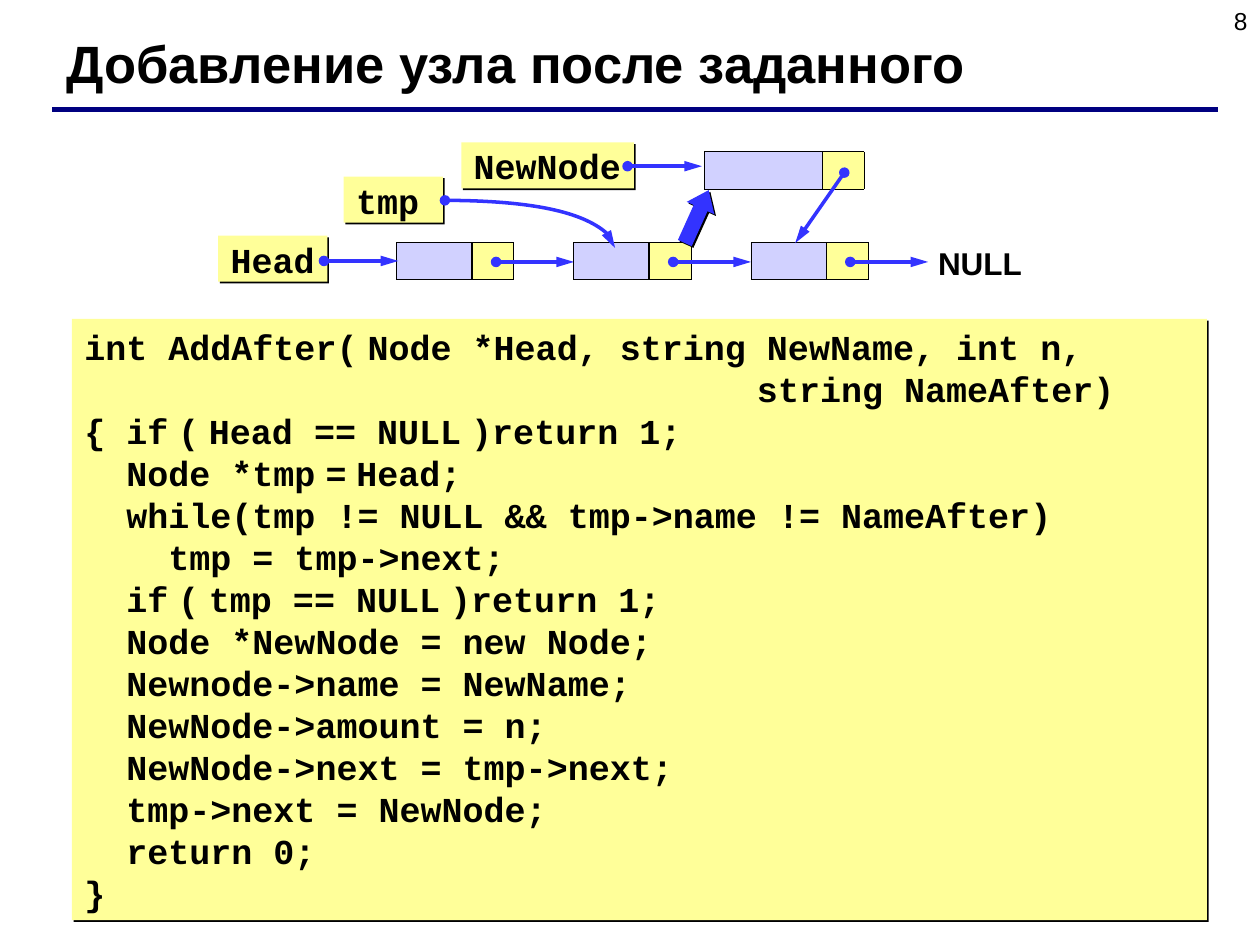
from lxml import etree
from pptx import Presentation
from pptx.dml.color import RGBColor
from pptx.enum.shapes import MSO_CONNECTOR, MSO_SHAPE
from pptx.enum.text import MSO_ANCHOR, PP_ALIGN
from pptx.oxml import parse_xml
from pptx.oxml.ns import nsdecls, qn
from pptx.util import Cm, Pt

STRAIGHT = MSO_CONNECTOR.STRAIGHT
RECTANGLE = MSO_SHAPE.RECTANGLE
DOWN_ARROW = MSO_SHAPE.DOWN_ARROW
LEFT, RIGHT = PP_ALIGN.LEFT, PP_ALIGN.RIGHT
TOP = MSO_ANCHOR.TOP

# "~" stands for a narrow space set in the sans font.
CODE = """int AddAfter(~Node *Head, string NewName, int n,
                                string NameAfter)
{ if~(~Head == NULL~)return 1;
  Node *tmp~=~Head;
  while(tmp != NULL && tmp->name != NameAfter)
    tmp = tmp->next;
  if~(~tmp == NULL~)return 1;
  Node *NewNode = new Node;
  Newnode->name = NewName;
  NewNode->amount = n;
  NewNode->next = tmp->next;
  tmp->next = NewNode;
  return 0;
}"""


def color(value):
    return RGBColor.from_string(value)


class ListSlide:
    sans, mono = "Arial", "Courier New"
    black, navy, blue = "000000", "000080", "3333FF"
    yellow, lilac = "FFFF99", "D1D1FF"
    cell_height, link_width = 0.76, 0.84

    def __init__(self, presentation):
        self.slide = presentation.slides.add_slide(presentation.slide_layouts[5])

    def format_frame(self, frame, wrap, vertical_margin):
        frame.word_wrap = wrap
        frame.vertical_anchor = TOP
        frame.margin_left = frame.margin_right = Cm(0.25)
        frame.margin_top = frame.margin_bottom = Cm(vertical_margin)

    def format_font(self, font, name, size, bold=True):
        font.name, font.size, font.bold = name, Pt(size), bold
        font.color.rgb = color(self.black)

    def title(self, text, left, top, width, height):
        shape = self.slide.shapes.title
        shape.left, shape.top = Cm(left), Cm(top)
        shape.width, shape.height = Cm(width), Cm(height)
        self.format_frame(shape.text_frame, True, 0.13)
        shape.text_frame.text = text
        paragraph = shape.text_frame.paragraphs[0]
        paragraph.alignment = LEFT
        self.format_font(paragraph.font, self.sans, 30)

    def label(self, text, left, top, width, height, size, bold=True, align=LEFT):
        shape = self.slide.shapes.add_textbox(Cm(left), Cm(top), Cm(width), Cm(height))
        self.format_frame(shape.text_frame, True, 0.13)
        shape.text_frame.text = text
        paragraph = shape.text_frame.paragraphs[0]
        paragraph.alignment = align
        self.format_font(paragraph.font, self.sans, size, bold)

    def block(self, left, top, width, height, fill, kind=RECTANGLE):
        shape = self.slide.shapes.add_shape(kind, Cm(left), Cm(top), Cm(width), Cm(height))
        shape.shadow.inherit = False
        shape.fill.solid()
        shape.fill.fore_color.rgb = color(fill)
        shape.line.fill.background()
        return shape

    def hard_shadow(self, shape):
        effects = shape._element.spPr.find(qn("a:effectLst"))
        effects.append(parse_xml(
            f'<a:outerShdw {nsdecls("a")} blurRad="0" dist="{Pt(1.4)}" dir="2700000" '
            f'algn="ctr" rotWithShape="0"><a:srgbClr val="{self.black}"/></a:outerShdw>'))

    def code_box(self, text, left, top, width, height, wrap=False, vertical_margin=0.05):
        shape = self.block(left, top, width, height, self.yellow)
        self.hard_shadow(shape)
        frame = shape.text_frame
        self.format_frame(frame, wrap, vertical_margin)
        for number, line in enumerate(text.split("\n")):
            paragraph = frame.add_paragraph() if number else frame.paragraphs[0]
            paragraph.alignment = LEFT
            paragraph.line_spacing = Pt(24)
            self.format_font(paragraph.font, self.mono, 20)
            for index, part in enumerate(line.split("~")):
                if index:
                    space = paragraph.add_run()
                    space.text = " "
                    space.font.name = self.sans
                paragraph.add_run().text = part

    def line(self, start, end, stroke, width):
        connector = self.slide.shapes.add_connector(STRAIGHT, *map(Cm, start + end))
        connector.line.color.rgb = color(stroke)
        connector.line.width = Pt(width)
        etree.SubElement(connector._element.spPr, qn("a:effectLst"))
        return connector

    def add_arrow_ends(self, shape):
        stroke = shape.line._get_or_add_ln()
        etree.SubElement(stroke, qn("a:headEnd"), type="oval")
        etree.SubElement(stroke, qn("a:tailEnd"), type="triangle", len="lg")

    def pointer(self, start, end):
        self.add_arrow_ends(self.line(start, end, self.blue, 2))

    def curved_pointer(self, start, *controls):
        """Draw one cubic Bezier pointer; the last control is its end."""
        builder = self.slide.shapes.build_freeform(*map(Cm, start))
        builder.add_line_segments([tuple(map(Cm, point)) for point in controls], close=False)
        shape = builder.convert_to_shape()
        segments = list(shape._element.iter(qn("a:lnTo")))
        outline = segments[0].getparent()
        curve = etree.SubElement(outline, qn("a:cubicBezTo"))
        for segment in segments:
            curve.append(segment[0])
            outline.remove(segment)
        shape.shadow.inherit = False
        shape.fill.background()
        shape.line.color.rgb = color(self.blue)
        shape.line.width = Pt(2)
        self.add_arrow_ends(shape)

    def node(self, left, top, data_width, divider_width):
        divider = left + data_width
        right, bottom = divider + self.link_width, top + self.cell_height
        self.block(divider, top, self.link_width, self.cell_height, self.yellow)
        self.block(left, top, data_width, self.cell_height, self.lilac)
        for y in (top, bottom):
            self.line((left, y), (right, y), self.black, 0.5)
        for x, width in ((left, 0.5), (divider, divider_width), (right, 0.5)):
            self.line((x, top), (x, bottom), self.black, width)

    def block_arrow(self, left, top, width, height, rotation):
        shape = self.block(left, top, width, height, self.blue, DOWN_ARROW)
        shape.adjustments[0], shape.adjustments[1] = 0.5, 0.65
        shape.rotation = rotation
        self.hard_shadow(shape)


def main():
    presentation = Presentation()
    presentation.slide_width, presentation.slide_height = Cm(25.4), Cm(19.05)
    page = ListSlide(presentation)

    page.label("8", 19.48, 0, 5.92, 1.32, 14, bold=False, align=RIGHT)
    page.line((1.05, 2.21), (24.55, 2.21), page.navy, 3)
    page.title("Добавление узла после заданного", 1.09, 0.5, 22.6, 1.52)
    page.code_box(CODE, 1.45, 6.43, 22.88, 12.12, wrap=True, vertical_margin=0.13)

    page.code_box("Head", 4.4, 4.75, 2.2, 0.93)
    first_left, step, list_top, pointer_y = 8, 3.57, 4.88, 5.28
    for index in range(3):
        left = first_left + index * step
        page.node(left, list_top, 1.52, 1)
        page.pointer((left + 2, pointer_y), (left + step, pointer_y))
    page.label("NULL", 18.66, 4.78, 2.8, 1.02, 18)
    page.pointer((6.53, 5.26), (8.03, 5.26))

    page.code_box("tmp", 6.93, 3.56, 2, 0.93)
    page.curved_pointer((8.97, 4.04), (10.87, 4.04), (12.4, 4.47), (12.4, 5))

    page.block_arrow(13.74, 3.78, 0.61, 1.17, 204.3)
    page.node(14.2, 3.06, 2.38, 0.5)
    page.code_box("NewNode", 9.3, 2.87, 3.48, 0.93)
    page.pointer((12.65, 3.35), (14.15, 3.35))
    page.pointer((17.02, 3.48), (16.03, 4.9))

    presentation.save("out.pptx")


if __name__ == "__main__":
    main()
